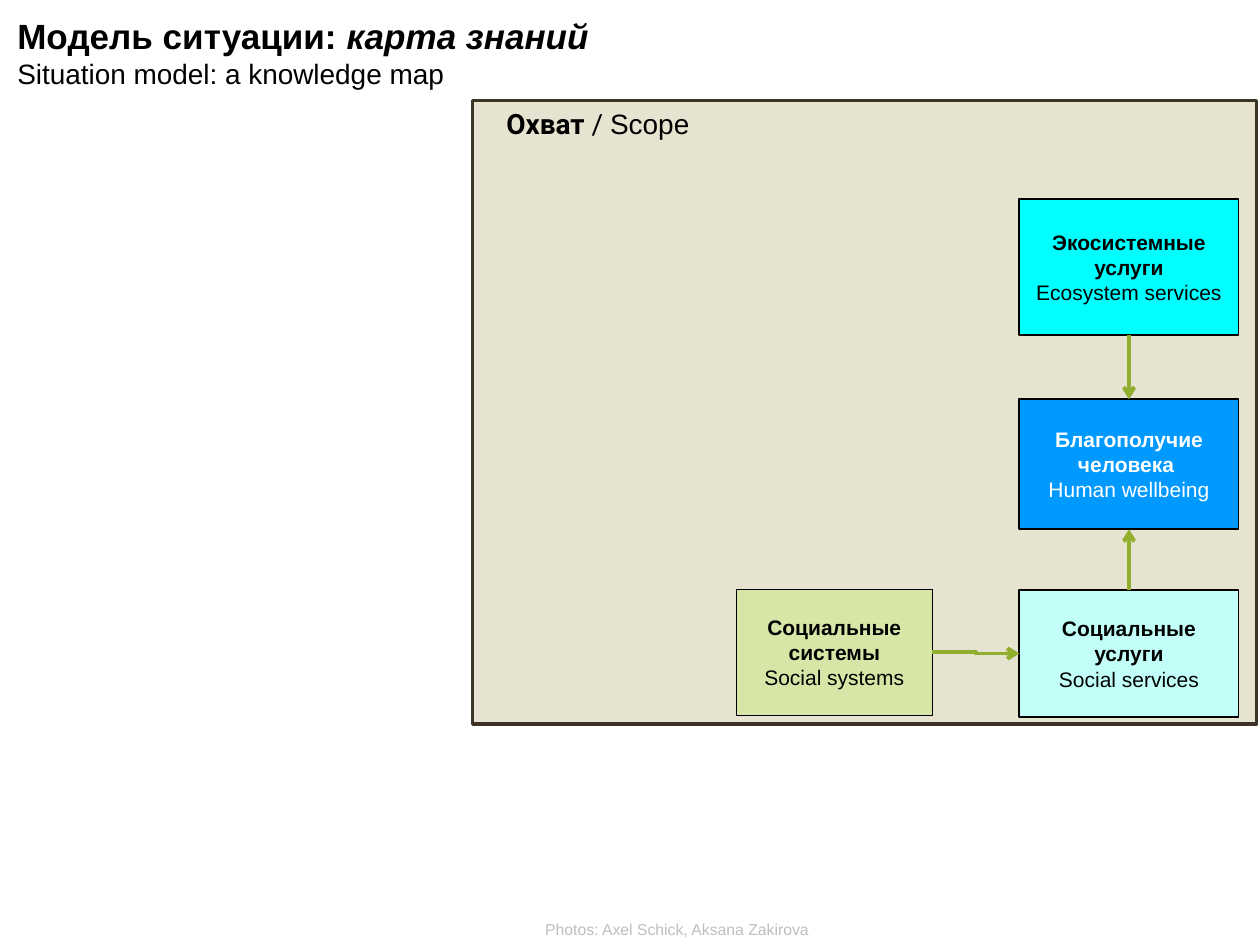
from dataclasses import dataclass

from lxml.etree import SubElement
from pptx import Presentation
from pptx.dml.color import RGBColor
from pptx.enum.shapes import MSO_CONNECTOR, MSO_SHAPE
from pptx.enum.text import MSO_ANCHOR, MSO_AUTO_SIZE, PP_ALIGN
from pptx.oxml.ns import qn
from pptx.util import Cm, Pt


@dataclass(frozen=True)
class Theme:
    font: str = "Arial"
    accent_font: str = "Roboto"
    text: str = "000000"
    light_text: str = "FFFFFF"
    credit: str = "BFBFBF"
    scope: str = "C4BE92"
    scope_line: str = "3B3427"
    ecosystem: str = "00FFFF"
    wellbeing: str = "0099FF"
    systems: str = "D7E6A7"
    services: str = "C1FFF8"
    arrow: str = "90AF2F"
    title_size: int = 20
    subtitle_size: int = 16
    node_size: int = 12
    credit_size: int = 9


THEME = Theme()
TOP, LEFT, BOTTOM, RIGHT = range(4)  # connection sites of a rectangle


def add_span(para, text, size, color=THEME.text, font=THEME.font, bold=False, italic=False):
    span = para.add_run()
    span.text = text
    span.font.name = font
    span.font.size = Pt(size)
    span.font.bold = bold
    span.font.italic = italic
    span.font.color.rgb = RGBColor.from_string(color)


def add_rectangle(page, left, top, width, height, fill, line, line_width):
    box = page.shapes.add_shape(MSO_SHAPE.RECTANGLE, Cm(left), Cm(top), Cm(width), Cm(height))
    box.shadow.inherit = False
    box.fill.solid()
    box.fill.fore_color.rgb = RGBColor.from_string(fill)
    box.line.color.rgb = RGBColor.from_string(line)
    box.line.width = Pt(line_width)
    return box


def set_opacity(box, percent):
    color = box.fill._xPr.find(qn("a:solidFill"))[0]
    SubElement(color, qn("a:alpha"), val=str(percent * 1000))


def add_node(page, left, top, width, height, fill, russian, english,
             color=THEME.text, line_width=1, inset=None):
    """Add a concept box: bold Russian name above its English one."""
    box = add_rectangle(page, left, top, width, height, fill, THEME.text, line_width)
    frame = box.text_frame
    frame.word_wrap = True
    frame.vertical_anchor = MSO_ANCHOR.MIDDLE
    if inset is not None:
        frame.margin_left = frame.margin_right = Cm(inset)
        frame.margin_top = frame.margin_bottom = Cm(inset)
    for para, text, bold in ((frame.paragraphs[0], russian, True),
                             (frame.add_paragraph(), english, False)):
        para.alignment = PP_ALIGN.CENTER
        add_span(para, text, THEME.node_size, color, bold=bold)
    return box


def add_arrow(page, source, source_site, target, target_site, kind=MSO_CONNECTOR.STRAIGHT):
    arrow = page.shapes.add_connector(kind, 0, 0, 0, 0)
    arrow.begin_connect(source, source_site)
    arrow.end_connect(target, target_site)
    arrow.line.color.rgb = RGBColor.from_string(THEME.arrow)
    arrow.line.width = Pt(2.25)
    SubElement(arrow.line._get_or_add_ln(), qn("a:tailEnd"), type="arrow")
    SubElement(arrow._element.spPr, qn("a:effectLst"))


def add_label(page, left, top, width, height, wrap=False):
    """Add an empty text box that grows with its text unless it wraps."""
    box = page.shapes.add_textbox(Cm(left), Cm(top), Cm(width), Cm(height))
    box.text_frame.word_wrap = wrap
    box.text_frame.auto_size = MSO_AUTO_SIZE.NONE if wrap else MSO_AUTO_SIZE.SHAPE_TO_FIT_TEXT
    return box.text_frame


def add_map(page):
    scope = add_rectangle(page, 9.53, 2.03, 15.8, 12.57, THEME.scope, THEME.scope_line, 2)
    set_opacity(scope, 42)
    column, width = 20.55, 4.42
    ecosystem = add_node(page, column, 4.01, width, 2.74, THEME.ecosystem,
                         "Экосистемные услуги", "Ecosystem services")
    wellbeing = add_node(page, column, 8.05, width, 2.62, THEME.wellbeing,
                         "Благополучие человека ", "Human wellbeing", color=THEME.light_text)
    systems = add_node(page, 14.85, 11.88, 3.94, 2.53, THEME.systems,
                       "Социальные системы", "Social systems", line_width=0.25, inset=0.1)
    services = add_node(page, column, 11.9, width, 2.55, THEME.services,
                        "Социальные услуги", "Social services")
    add_arrow(page, ecosystem, BOTTOM, wellbeing, TOP)
    add_arrow(page, services, TOP, wellbeing, BOTTOM)
    add_arrow(page, systems, RIGHT, services, LEFT, MSO_CONNECTOR.ELBOW)


def add_labels(page):
    para = add_label(page, 9.96, 2.03, 4.45, 0.94).paragraphs[0]
    add_span(para, "Oхват ", THEME.subtitle_size, font=THEME.accent_font, bold=True)
    add_span(para, "/ ", THEME.subtitle_size, font=THEME.accent_font)
    add_span(para, "Scope", THEME.subtitle_size)

    para = add_label(page, 10.74, 18.42, 5.92, 0.63).paragraphs[0]
    add_span(para, "Photos: Axel Schick, Aksana Zakirova", THEME.credit_size, THEME.credit)

    title = add_label(page, 0.1, -0.18, 21.92, 2.08, wrap=True)
    title.margin_top = Cm(0.47)
    para = title.paragraphs[0]
    add_span(para, "Модель ситуации: ", THEME.title_size, bold=True)
    add_span(para, "карта знаний", THEME.title_size, bold=True, italic=True)
    add_span(title.add_paragraph(), "Situation model: a knowledge map", THEME.subtitle_size)


def main():
    deck = Presentation()
    deck.slide_width, deck.slide_height = Cm(25.4), Cm(19.05)
    page = deck.slides.add_slide(deck.slide_layouts[6])
    add_map(page)
    add_labels(page)
    deck.save("out.pptx")


if __name__ == "__main__":
    main()
